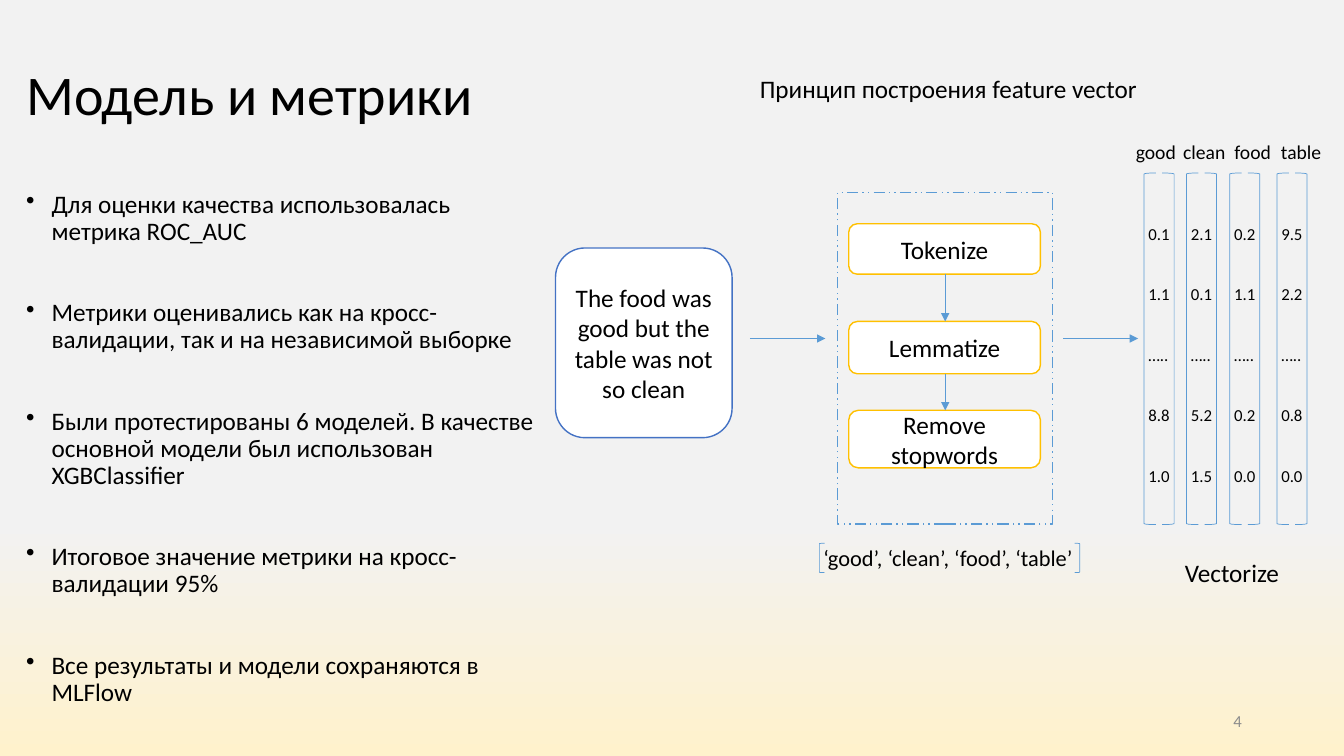
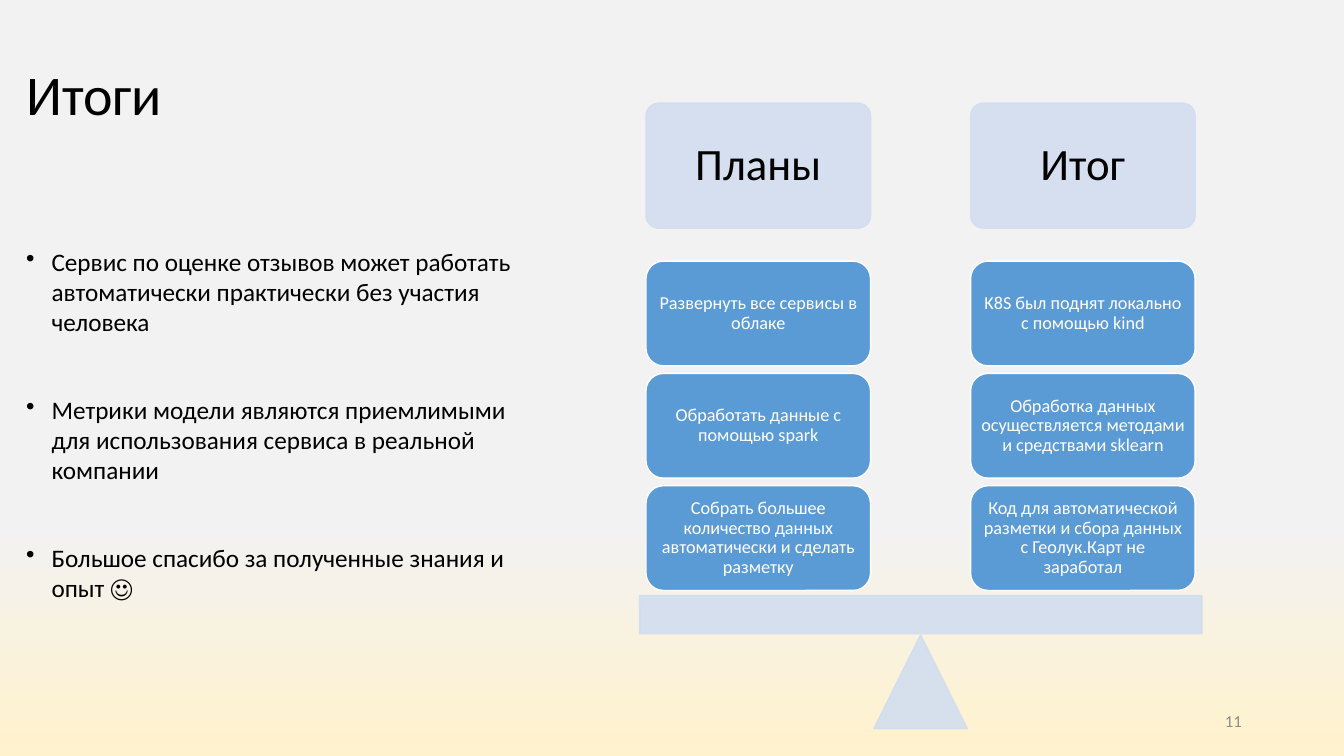
"""Build two slides: the model with its feature vector, and the project results."""
import lxml.etree
import pptx
import pptx.dml.color
import pptx.enum.dml
import pptx.enum.shapes
import pptx.enum.text
import pptx.oxml.ns
import pptx.util

Cm = pptx.util.Cm
Pt = pptx.util.Pt
qn = pptx.oxml.ns.qn
SHAPE = pptx.enum.shapes.MSO_SHAPE
ALIGN = pptx.enum.text.PP_ALIGN
ANCHOR = pptx.enum.text.MSO_ANCHOR
color = pptx.dml.color.RGBColor.from_string

FONT = "Calibri"
BLACK = "000000"
WHITE = "FFFFFF"
GRAY = "8C8C8C"
BLUE = "5B9BD5"
DEEP_BLUE = "4472C4"
PALE_BLUE = "D2DEEF"
GOLD = "FFC000"


def write(frame, texts, size, ink=BLACK, align=ALIGN.LEFT, anchor=ANCHOR.TOP,
          spacing=1.0, after=0, inset=(0.25, 0.13)):
    frame.word_wrap = True
    frame.vertical_anchor = anchor
    frame.margin_left = frame.margin_right = Cm(inset[0])
    frame.margin_top = frame.margin_bottom = Cm(inset[1])
    for index, text in enumerate(texts):
        paragraph = frame.paragraphs[0] if index == 0 else frame.add_paragraph()
        paragraph.alignment = align
        paragraph.line_spacing = spacing
        paragraph.space_before = Pt(0)
        paragraph.space_after = Pt(after)
        run = paragraph.add_run()
        run.text = text
        run.font.name = FONT
        run.font.size = Pt(size)
        run.font.color.rgb = color(ink)


def add_block(slide, kind, left, top, width, height, fill, line, weight=1):
    block = slide.shapes.add_shape(kind, Cm(left), Cm(top), Cm(width), Cm(height))
    block.shadow.inherit = False
    if fill:
        block.fill.solid()
        block.fill.fore_color.rgb = color(fill)
    else:
        block.fill.background()
    block.line.color.rgb = color(line)
    block.line.width = Pt(weight)
    return block


deck = pptx.Presentation()
deck.slide_width = Cm(33.87)
deck.slide_height = Cm(19.05)

backdrop = deck.slide_master.background.fill
backdrop.gradient()
backdrop.gradient_angle = 270
for stop, (position, shade) in zip(backdrop.gradient_stops, [(0.69, "F2F2F2"), (1, "FFF2CC")]):
    stop.position = position
    stop.color.rgb = color(shade)

pages = [
    ("Модель и метрики", "4", 4.7, 0.9, 38.5, [
        "Для оценки качества использовалась метрика ROC_AUC",
        "Метрики оценивались как на кросс-валидации, так и на независимой выборке",
        "Были протестированы 6 моделей. В качестве основной модели был использован XGBClassifier",
        "Итоговое значение метрики на кросс-валидации 95%",
        "Все результаты и модели сохраняются в MLFlow",
    ]),
    ("Итоги", "11", 6.07, 1.0, 41, [
        "Сервис по оценке отзывов может работать автоматически практически без участия человека",
        "Метрики модели являются приемлимыми для использования сервиса в реальной компании",
        "Большое спасибо за полученные знания и опыт ☺",
    ]),
]
for heading, number, points_top, points_spacing, points_gap, points in pages:
    slide = deck.slides.add_slide(deck.slide_layouts[5])
    title = slide.shapes.title
    title.left, title.top, title.width, title.height = Cm(0.41), Cm(0.61), Cm(29.2), Cm(3.68)
    write(title.text_frame, [heading], 40, anchor=ANCHOR.MIDDLE, spacing=0.9)

    summary = slide.shapes.add_textbox(Cm(0.41), Cm(points_top), Cm(13.45), Cm(18.3 - points_top))
    write(summary.text_frame, points, 18, spacing=points_spacing, after=points_gap)
    for paragraph in summary.text_frame.paragraphs:
        properties = paragraph._p.get_or_add_pPr()
        properties.set("marL", str(Cm(0.64)))
        properties.set("indent", str(-Cm(0.64)))
        lxml.etree.SubElement(properties, qn("a:buChar")).set("char", "•")

    page_number = slide.shapes.add_textbox(Cm(23.93), Cm(17.65), Cm(7.62), Cm(1.02))
    write(page_number.text_frame, [number], 12, GRAY, ALIGN.RIGHT, ANCHOR.MIDDLE)

model, results = deck.slides

review = add_block(model, SHAPE.ROUNDED_RECTANGLE, 14, 6.25, 4.45, 4.78, WHITE, DEEP_BLUE)
write(review.text_frame, ["The food was good but the table was not so clean"], 18,
      align=ALIGN.CENTER, anchor=ANCHOR.MIDDLE)

pipeline = add_block(model, SHAPE.RECTANGLE, 21.11, 4.85, 5.41, 8.36, None, BLUE)
pipeline.line.dash_style = pptx.enum.dml.MSO_LINE.DASH_DOT_DOT

arrows = [(18.9, 8.53, 20.8, 8.53), (26.8, 8.53, 28.68, 8.53)]
steps = [("Tokenize", 5.64, 1.27), ("Lemmatize", 8.1, 1.32), ("Remove stopwords", 10.34, 1.45)]
for step, top, height in steps:
    stage = add_block(model, SHAPE.ROUNDED_RECTANGLE, 21.39, top, 4.83, height, WHITE, GOLD)
    write(stage.text_frame, [step], 18, align=ALIGN.CENTER, anchor=ANCHOR.MIDDLE)
for (_, top, height), (_, next_top, _) in zip(steps, steps[1:]):
    arrows.append((23.82, top + height, 23.82, next_top))

for ends in arrows:
    arrow = model.shapes.add_connector(
        pptx.enum.shapes.MSO_CONNECTOR.STRAIGHT, *[Cm(end) for end in ends])
    arrow.line.color.rgb = color(BLUE)
    arrow.line.width = Pt(0.5)
    outline = arrow._element.spPr.find(qn("a:ln"))
    lxml.etree.SubElement(outline, qn("a:tailEnd")).set("type", "triangle")
    lxml.etree.SubElement(arrow._element.spPr, qn("a:effectLst"))

brackets = [(20.65, 13.69, 6.43, 0.13, 0.74)]
vectors = [
    ("good", 28.83, ["0.1", "1.1", "…..", "8.8", "1.0"]),
    ("clean", 29.9, ["2.1", "0.1", "…..", "5.2", "1.5"]),
    ("food", 30.99, ["0.2", "1.1", "…..", "0.2", "0.0"]),
    ("table", 32.18, ["9.5", "2.2", "…..", "0.8", "0.0"]),
]
for index, (word, left, weights) in enumerate(vectors):
    brackets.append((left, 4.36, 0.46, 0.3, 8.86))
    label = model.shapes.add_textbox(Cm(28.52 + 1.22 * index), Cm(3.4), Cm(1.22), Cm(0.86))
    write(label.text_frame, [word], 14, align=ALIGN.CENTER, inset=(0, 0.13))
    column = model.shapes.add_textbox(Cm(left - 0.14), Cm(4.49), Cm(1.5), Cm(9.4))
    write(column.text_frame, weights, 12, spacing=3.0)

for left, top, offset, width, height in brackets:
    add_block(model, SHAPE.LEFT_BRACKET, left, top, width, height, None, BLUE, 0.5)
    add_block(model, SHAPE.RIGHT_BRACKET, left + offset, top, width, height, None, BLUE, 0.5)

captions = [
    ("Принцип построения feature vector", 18, 18.9, 1.73, 11.73),
    ("‘good’, ‘clean’, ‘food’, ‘table’", 16, 20.5, 13.59, 9.22),
    ("Vectorize", 18, 29.61, 13.92, 3.2),
]
for text, size, left, top, width in captions:
    caption = model.shapes.add_textbox(Cm(left), Cm(top), Cm(width), Cm(1.02))
    write(caption.text_frame, [text], size)

sides = [
    ("Планы", 16.28, [
        "Развернуть все сервисы в облаке",
        "Обработать данные с помощью spark",
        "Собрать большее количество данных автоматически и сделать разметку",
    ]),
    ("Итог", 24.46, [
        "K8S был поднят локально с помощью kind",
        "Обработка данных осуществляется методами и средствами sklearn",
        "Код для автоматической разметки и сбора данных с Геолук.Карт не заработал",
    ]),
]
scales = [
    add_block(results, SHAPE.ISOSCELES_TRIANGLE, 22.02, 16, 2.36, 2.36, PALE_BLUE, PALE_BLUE),
    add_block(results, SHAPE.RECTANGLE, 16.12, 15.01, 14.17, 0.96, PALE_BLUE, PALE_BLUE),
]
for side, left, items in sides:
    pan = add_block(results, SHAPE.ROUNDED_RECTANGLE, left, 2.6, 5.66, 3.15, PALE_BLUE, PALE_BLUE)
    pan.adjustments[0] = 0.1
    write(pan.text_frame, [side], 32, align=ALIGN.CENTER, anchor=ANCHOR.MIDDLE, spacing=0.9)
    scales.append(pan)
    for row, item in enumerate(items):
        weight = add_block(results, SHAPE.ROUNDED_RECTANGLE,
                           left, 6.58 + 2.83 * row, 5.66, 2.64, BLUE, WHITE)
        write(weight.text_frame, [item], 13, WHITE, ALIGN.CENTER, ANCHOR.MIDDLE, 0.9,
              inset=(0.13, 0.13))

for part in scales:
    for tint in part._element.spPr.iter(qn("a:srgbClr")):
        lxml.etree.SubElement(tint, qn("a:alpha")).set("val", "90000")

deck.save("out.pptx")
